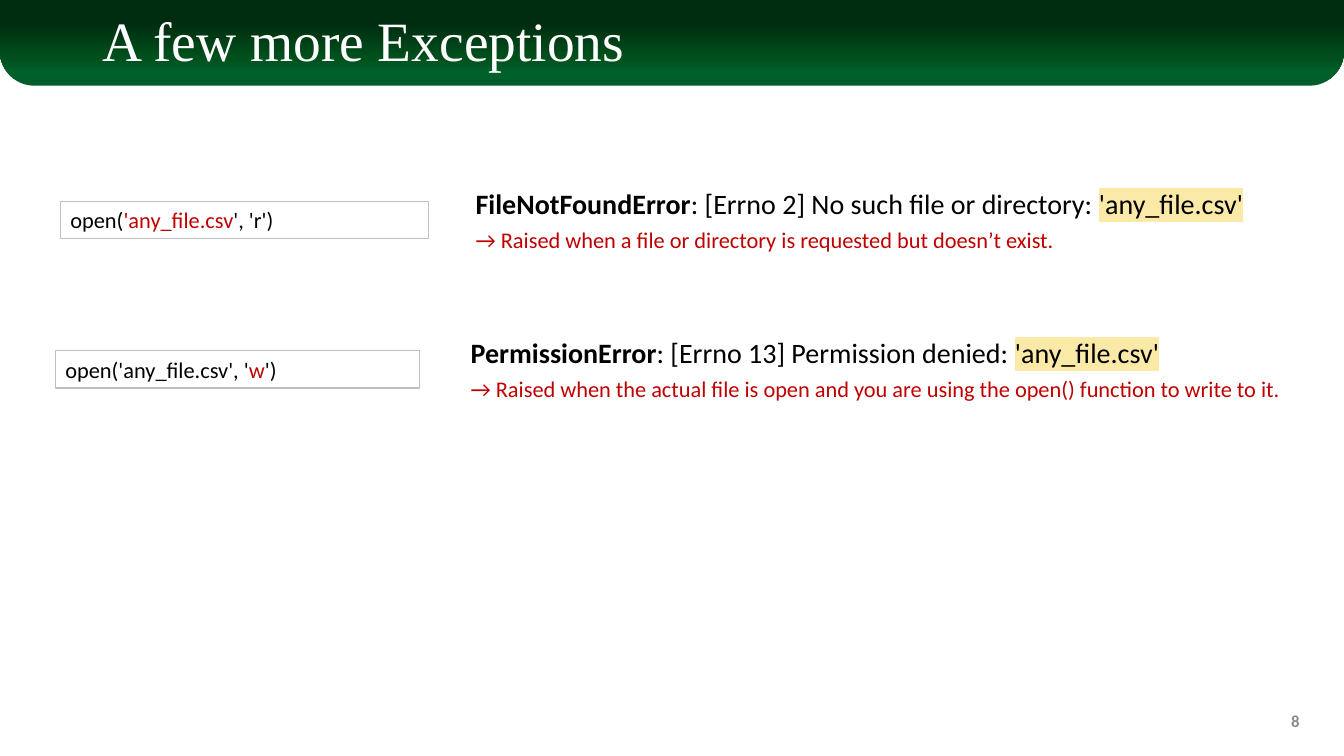
from lxml.etree import SubElement
from pptx import Presentation
from pptx.dml.color import RGBColor
from pptx.enum.shapes import MSO_SHAPE
from pptx.enum.text import MSO_ANCHOR, PP_ALIGN
from pptx.oxml import parse_xml
from pptx.oxml.ns import nsdecls, qn
from pptx.util import Inches, Pt

BLACK = RGBColor(0x00, 0x00, 0x00)
WHITE = RGBColor(0xFF, 0xFF, 0xFF)
RED = RGBColor(0xC0, 0x00, 0x00)
GRAY = RGBColor(0x8C, 0x8C, 0x8C)
BORDER = RGBColor(0xBF, 0xBF, 0xBF)
YELLOW = RGBColor(0xFB, 0xE9, 0xA8)
BAND_STOPS = [
    (0, RGBColor(0x00, 0x5C, 0x2B)),
    (15, RGBColor(0x00, 0x60, 0x2B)),
    (32, RGBColor(0x00, 0x50, 0x1D)),
    (72, RGBColor(0x00, 0x2D, 0x10)),
]

COLUMNS, ROWS = 160, 90
BODY_FONT, TITLE_FONT = "Calibri", "Times New Roman"


class ExceptionsPage:
    """Draws on one slide; every length is in grid columns and rows."""

    def __init__(self, deck):
        self.column = deck.slide_width / COLUMNS
        self.row = deck.slide_height / ROWS
        self.page = deck.slides.add_slide(deck.slide_layouts[5])
        self.shapes = self.page.shapes

    def place(self, left, top, width, height):
        """Turn grid units into slide lengths."""
        return (round(left * self.column), round(top * self.row),
                round(width * self.column), round(height * self.row))

    def band(self, height):
        band = self.shapes.add_shape(MSO_SHAPE.ROUND_2_SAME_RECTANGLE,
                                     *self.place(0, 0, COLUMNS, height))
        band.adjustments[0], band.adjustments[1] = 0, 0.4
        band.shadow.inherit = False
        band.line.fill.background()
        stops = "".join(
            f'<a:gs pos="{share * 1000}"><a:srgbClr val="{color}"/></a:gs>'
            for share, color in BAND_STOPS)
        gradient = parse_xml(
            f'<a:gradFill {nsdecls("a")} rotWithShape="1"><a:gsLst>{stops}</a:gsLst>'
            '<a:lin ang="16200000" scaled="0"/></a:gradFill>')
        band.element.spPr.find(qn("a:prstGeom")).addnext(gradient)
        self.shapes.element.insert(2, band.element)  # behind the title

    def title(self, text, *area):
        title = self.shapes.title
        title.left, title.top, title.width, title.height = self.place(*area)
        title.text_frame.vertical_anchor = MSO_ANCHOR.MIDDLE
        self.fill_text(title, [(text,)], 39.6, WHITE, font=TITLE_FONT)
        title.text_frame.paragraphs[0].line_spacing = 0.9

    def fill_text(self, box, spans, size, color, font=BODY_FONT, bold=False,
                  align=PP_ALIGN.LEFT):
        """Fill a box with spans: (text, optional style of bold, color or highlight)."""
        box.text_frame.word_wrap = True
        para = box.text_frame.paragraphs[0]
        para.alignment = align
        para.font.name, para.font.size, para.font.bold = font, Pt(size), bold
        para.font.color.rgb = color
        for text, *styles in spans:
            span = para.add_run()
            span.text = text
            style = styles[0] if styles else {}
            if "bold" in style:
                span.font.bold = style["bold"]
            span.font.color.rgb = style.get("color", color)
            if "highlight" in style:
                properties = span._r.get_or_add_rPr()
                highlight = SubElement(properties, qn("a:highlight"))
                SubElement(highlight, qn("a:srgbClr"), val=str(style["highlight"]))

    def label(self, spans, area, size, color, **style):
        box = self.shapes.add_textbox(*self.place(*area))
        self.fill_text(box, spans, size, color, **style)
        return box

    def code(self, spans, *area):
        box = self.shapes.add_shape(MSO_SHAPE.RECTANGLE, *self.place(*area))
        box.shadow.inherit = False
        box.fill.background()
        box.line.color.rgb = BORDER
        box.line.width = Pt(0.75)
        box.text_frame.vertical_anchor = MSO_ANCHOR.TOP
        self.fill_text(box, spans, 16, BLACK)

    def example(self, left, top, code_width, code, error, detail, note):
        """Code on the left, its error message and explanation on the right."""
        self.code(code, left, top + 2.4, code_width, 4.44)
        message_left = left + 48.24
        message = [(error, {"bold": True}), (detail,),
                   ("'any_file.csv'", {"highlight": YELLOW})]
        self.label(message, (message_left, top, 96, 5.28), 20, BLACK)
        self.label([(note,)], (message_left, top + 4.74, 100, 4.44), 16, RED)

    def number(self, text, *area):
        box = self.label([(text,)], area, 12, GRAY, bold=True, align=PP_ALIGN.RIGHT)
        box.text_frame.vertical_anchor = MSO_ANCHOR.MIDDLE


def main():
    deck = Presentation()
    deck.slide_width, deck.slide_height = Inches(13.33), Inches(7.5)
    page = ExceptionsPage(deck)
    page.band(10.2)
    page.title("A few more Exceptions", 11, 1.56, 138, 7.32)
    page.example(
        7.2, 21.6, 43.8,
        [("open(",), ("'any_file.csv", {"color": RED}), ("', 'r')",)],
        "FileNotFoundError", ": [Errno 2] No such file or directory: ",
        "→ Raised when a file or directory is requested but doesn’t exist.")
    page.example(
        6.6, 39.36, 43.3,
        [("open('any_file.csv', '",), ("w", {"color": RED}), ("')",)],
        "PermissionError", ": [Errno 13] Permission denied: ",
        "→ Raised when the actual file is open and you are using the open() "
        "function to write to it.")
    page.number("8", 119.9, 83.4, 36, 4.8)
    deck.save("out.pptx")


if __name__ == "__main__":
    main()
